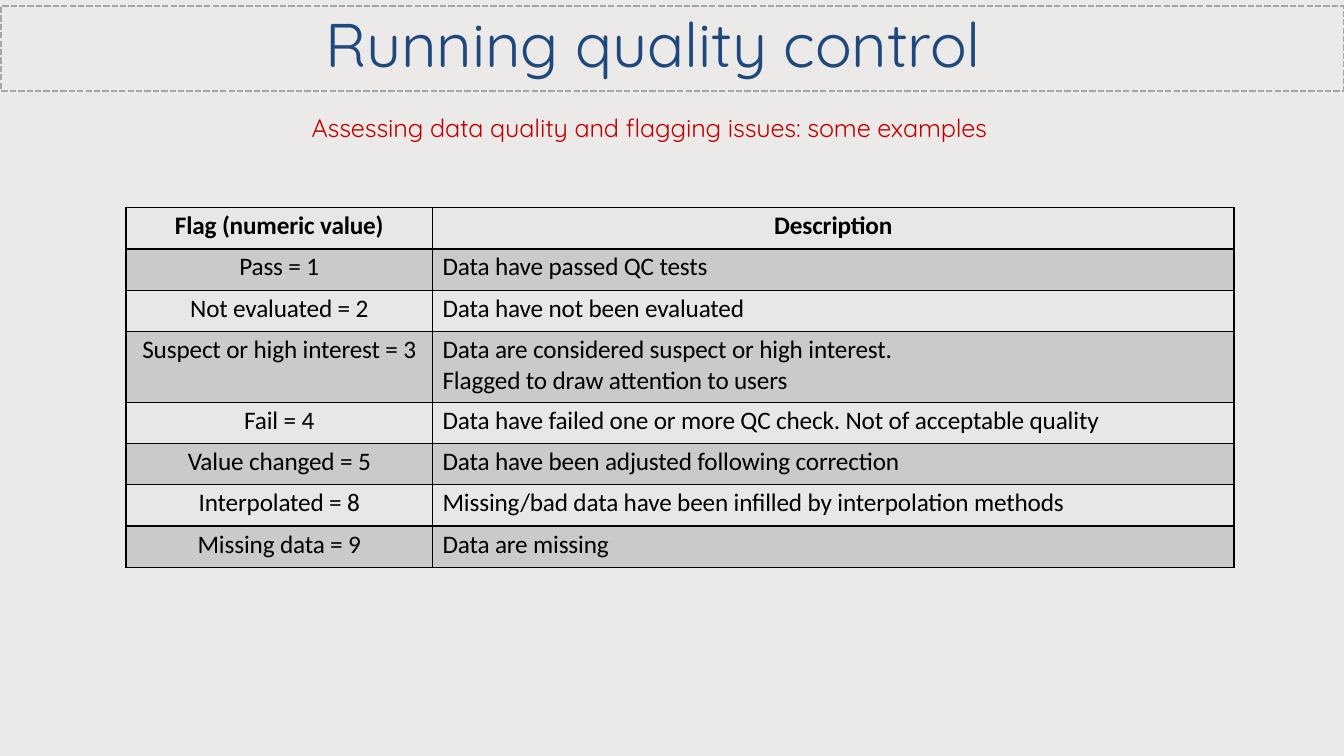
from lxml import etree
from pptx import Presentation
from pptx.dml.color import RGBColor
from pptx.enum import dml, shapes, text
from pptx.oxml.ns import qn
from pptx.util import Inches, Pt

FLAGS = [
    ("Flag (numeric value)", "Description"),
    ("Pass = 1", "Data have passed QC tests"),
    ("Not evaluated = 2", "Data have not been evaluated"),
    ("Suspect or high interest = 3",
     "Data are considered suspect or high interest.\nFlagged to draw attention to users"),
    ("Fail = 4", "Data have failed one or more QC check. Not of acceptable quality"),
    ("Value changed = 5", "Data have been adjusted following correction"),
    ("Interpolated = 8", "Missing/bad data have been infilled by interpolation methods"),
    ("Missing data = 9", "Data are missing"),
]
LEFT, CENTER = text.PP_ALIGN.LEFT, text.PP_ALIGN.CENTER


def paint(fmt, color):
    """Give a fill a solid colour."""
    fmt.solid()
    fmt.fore_color.rgb = RGBColor.from_string(color)


def write(p, content, size, font, color, bold=False, align=LEFT, before=1):
    """Fill a paragraph, with a line break at each newline."""
    p.alignment = align
    p.space_before = Pt(before)
    for i, line in enumerate(content.split("\n")):
        if i:
            p.add_line_break()
        r = p.add_run()
        r.text = line
        r.font.size, r.font.name, r.font.bold = Pt(size), font, bold
        r.font.color.rgb = RGBColor.from_string(color)
        r.font._element.set("spc", "-10")


def add_heading(sp, box, content, size, color):
    """Place a title or text box and write its single line."""
    sp.left, sp.top, sp.width, sp.height = map(Inches, box)
    tf = sp.text_frame
    tf.word_wrap = True
    tf.auto_size = text.MSO_AUTO_SIZE.SHAPE_TO_FIT_TEXT
    tf.vertical_anchor = text.MSO_ANCHOR.TOP
    tf.margin_left = tf.margin_right = tf.margin_bottom = 0
    tf.margin_top = Inches(0.01)
    write(tf.paragraphs[0], content, size, "Quicksand", color)


def add_title_band(slide):
    sp = slide.shapes.add_shape(shapes.MSO_SHAPE.RECTANGLE, Inches(0.01), Inches(0.06),
                                Inches(13.32), Inches(0.84))
    sp.shadow.inherit = False
    sp.fill.background()
    paint(sp.line.fill, "A6A6A6")
    sp.line.width = Pt(1.5)
    sp.line.dash_style = dml.MSO_LINE.SQUARE_DOT


def add_borders(cell):
    tc_pr = cell._tc.get_or_add_tcPr()
    for side in ("lnL", "lnR", "lnT", "lnB"):
        ln = etree.SubElement(tc_pr, qn(f"a:{side}"), w=str(Pt(1)))
        fill = etree.SubElement(ln, qn("a:solidFill"))
        etree.SubElement(fill, qn("a:srgbClr"), val="000000")


def format_cell(cell, content, header, centered, color):
    add_borders(cell)
    paint(cell.fill, color)
    cell.margin_left = 0 if centered else Inches(0.1)
    cell.margin_right = cell.margin_bottom = 0
    cell.margin_top = Inches(0.03)
    write(cell.text_frame.paragraphs[0], content, 18, "Calibri", "000000",
          header, CENTER if centered else LEFT, 2.4)


def add_flag_table(slide):
    table = slide.shapes.add_table(len(FLAGS), 2, Inches(1.25), Inches(2.06),
                                   Inches(10.99), Inches(3.54)).table
    table.first_row = table.horz_banding = False
    for column, width in zip(table.columns, (3.04, 7.95)):
        column.width = Inches(width)
    for i, row in enumerate(FLAGS):
        table.rows[i].height = Inches(0.7 if "\n" in row[1] else 0.41)
        for j, content in enumerate(row):
            format_cell(table.cell(i, j), content, i == 0, i == 0 or j == 0,
                        "CACACA" if i % 2 else "E7E7E7")


def main():
    prs = Presentation()
    prs.slide_width, prs.slide_height = Inches(13.33), Inches(7.5)
    slide = prs.slides.add_slide(prs.slide_layouts[5])
    paint(slide.background.fill, "ECEAE9")
    add_title_band(slide)
    add_heading(slide.shapes.title, (3.23, 0.05, 6.88, 0.76),
                "Running quality control", 44, "1F487C")
    add_flag_table(slide)
    subtitle = slide.shapes.add_textbox(0, 0, 0, 0)
    add_heading(subtitle, (3.09, 1.1, 7.16, 0.33),
                "Assessing data quality and flagging issues: some examples", 18, "C00000")
    prs.save("out.pptx")


if __name__ == "__main__":
    main()
